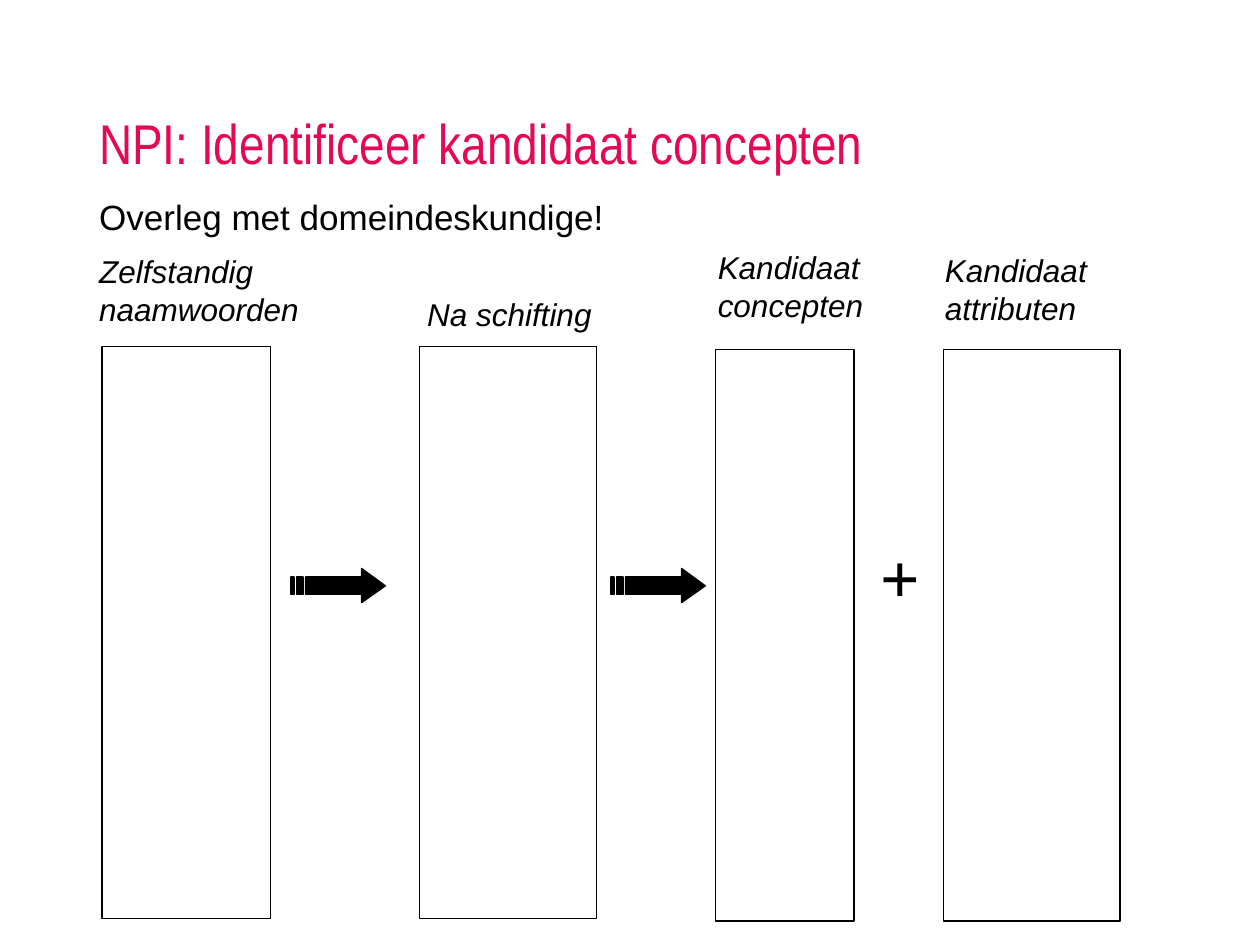
from dataclasses import dataclass

from pptx import Presentation
from pptx.dml.color import RGBColor
from pptx.enum import shapes, text
from pptx.util import Cm, Pt


@dataclass(frozen=True)
class Theme:
    accent: RGBColor = RGBColor(0xE5, 0x08, 0x56)
    ink: RGBColor = RGBColor(0, 0, 0)
    title_font: str = "Arial Narrow"
    body_font: str = "Arial"
    plus_font: str = "Times New Roman"
    title: float = 32
    body: float = 20
    caption: float = 18
    plus: float = 40
    line: float = 0.75


THEME = Theme()


def add_text(slide, box, content, size, font=THEME.body_font, color=THEME.ink,
             bold=False, italic=False, wrap=True,
             anchor=text.MSO_ANCHOR.TOP, spacing=None, before=None):
    sp = slide.shapes.add_textbox(*map(Cm, box))
    tf = sp.text_frame
    tf.word_wrap = wrap
    tf.vertical_anchor = anchor
    p = tf.paragraphs[0]
    p.text = content
    if spacing is not None:
        p.line_spacing = spacing
    if before is not None:
        p.space_before = Pt(before)
    f = p.runs[0].font
    f.name, f.size, f.bold, f.italic = font, Pt(size), bold, italic
    f.color.rgb = color


def outline(sp):
    sp.shadow.inherit = False
    sp.line.color.rgb = THEME.ink
    sp.line.width = Pt(THEME.line)


def add_heading(slide, box):
    """Title at the bottom of its box, with the lead sentence below it."""
    x, y, w, h = box
    add_text(slide, box, "NPI: Identificeer kandidaat concepten", THEME.title,
             THEME.title_font, THEME.accent,
             anchor=text.MSO_ANCHOR.BOTTOM, spacing=0.9)
    add_text(slide, (x, y + h + 0.3, w, 13.18), "Overleg met domeindeskundige!",
             THEME.body, spacing=0.8, before=7.5)


def add_column(slide, box, caption, caption_offset, caption_size):
    """Empty list box with its caption placed relative to the box corner."""
    x, y, w, h = box
    sp = slide.shapes.add_shape(shapes.MSO_SHAPE.RECTANGLE, *map(Cm, box))
    sp.fill.background()
    outline(sp)
    dx, dy = caption_offset
    add_text(slide, (x + dx, y + dy, *caption_size), caption,
             THEME.caption, italic=True)


def add_striped_arrow(slide, x, y):
    """Arrow with two tail stripes; points are in hundredths of a cm."""
    top, bottom = 17, 52
    head = [(142, 0), (142, top), (29, top), (29, bottom),
            (142, bottom), (142, 69), (190, 35)]
    stripes = [[(a, top), (a, bottom), (b, bottom), (b, top)]
               for a, b in ((11, 24), (0, 6))]
    builder = slide.shapes.build_freeform(*head[0], scale=Cm(0.01))
    builder.add_line_segments(head[1:], close=True)
    for stripe in stripes:
        builder.move_to(*stripe[0])
        builder.add_line_segments(stripe[1:], close=True)
    sp = builder.convert_to_shape(Cm(x), Cm(y))
    sp.fill.solid()
    sp.fill.fore_color.rgb = THEME.ink
    outline(sp)


def add_flow(slide, y, h):
    """Four columns joined by two arrows and a plus sign."""
    # left, top shift, width, caption, caption offset, caption size
    columns = [
        (2.06, 0, 3.4, "Zelfstandig naamwoorden", (-0.31, -2.04), (5.51, 1.8)),
        (8.46, 0, 3.56, "Na schifting", (-0.1, -1.17), (4.34, 1.02)),
        (14.43, 0.05, 2.79, "Kandidaat concepten", (-0.21, -2.16), (3.99, 1.8)),
        (19.02, 0.05, 3.56, "Kandidaat attributen", (-0.22, -2.11), (3.99, 1.8)),
    ]
    for x, shift, w, caption, offset, size in columns:
        add_column(slide, (x, y + shift, w, h), caption, offset, size)
    for x in (5.87, 12.32):
        add_striped_arrow(slide, x, y + 4.47)
    add_text(slide, (17.48, y + 3.65, 1.32, 1.96), "+", THEME.plus,
             THEME.plus_font, bold=True, italic=True, wrap=False)


prs = Presentation()
prs.slide_width, prs.slide_height = Cm(25.4), Cm(19.05)
s = prs.slides.add_slide(prs.slide_layouts[6])

# Heading
add_heading(s, (1.75, 1.02, 21.9, 2.67))
# Selection flow
add_flow(s, 6.99, 11.53)

prs.save("out.pptx")
